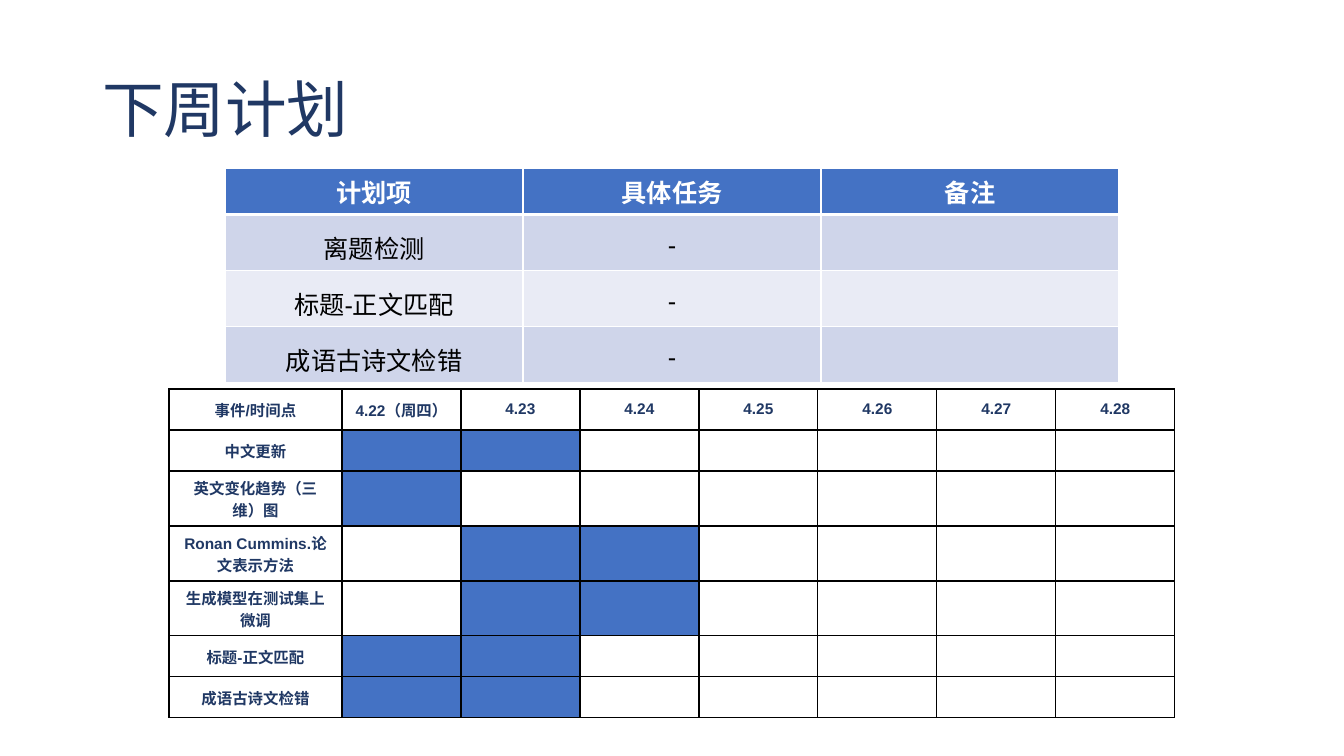
from lxml.etree import SubElement
from pptx import Presentation
from pptx.dml.color import RGBColor
from pptx.enum.lang import MSO_LANGUAGE_ID as Lang
from pptx.enum.text import MSO_ANCHOR as Anchor, PP_ALIGN as Align
from pptx.oxml.ns import qn
from pptx.util import Emu, Pt

# Content
TITLE = "下周计划"
PLAN = [
    ("计划项", "具体任务", "备注"),
    ("离题检测", "-", ""),
    ("标题-正文匹配", "-", ""),
    ("成语古诗文检错", "-", ""),
]
DATES = ["4.22（周四）", "4.23", "4.24", "4.25", "4.26", "4.27", "4.28"]
CORNER = "事件/时间点"
EVENTS = [  # event, busy day numbers, row height in px
    ("中文更新", (0, 1), 41),
    ("英文变化趋势（三维）图", (0,), 55),
    ("Ronan Cummins.论文表示方法", (1, 2), 55),
    ("生成模型在测试集上微调", (1, 2), 55),
    ("标题-正文匹配", (0, 1), 41),
    ("成语古诗文检错", (0, 1), 41),
]
COLORS = {"navy": "203864", "blue": "4472C4", "band": "CFD5EA",
          "pale": "E9EBF5", "white": "FFFFFF", "black": "000000"}

# Geometry in px
SLIDE_W, SLIDE_H = 1344, 756
TITLE_BOX = (92, 40, 1159, 146)
PLAN_AT, PLAN_COLS, PLAN_ROWS = (225, 168), [298] * 3, [46, 56, 56, 56]
GANTT_AT, GANTT_COLS = (169, 389), [173] + [119] * len(DATES)
GANTT_ROWS = [41] + [height for _, _, height in EVENTS]


def px(n):
    return Emu(round(n * 12192000 / SLIDE_W))


def color(name):
    return RGBColor.from_string(COLORS[name])


def style_text(paragraph, font_name, size, ink, bold=False, align=Align.CENTER, spacing=None):
    paragraph.alignment = align
    paragraph.line_spacing = spacing
    font = paragraph.font
    font.name, font.size, font.bold = font_name, Pt(size), bold
    font.color.rgb = color(ink)
    for run in paragraph.runs:
        run.font.language_id = Lang.SIMPLIFIED_CHINESE


def add_grid(slide, at, cols, rows):
    frame = slide.shapes.add_table(len(rows), len(cols), *map(px, at),
                                   px(sum(cols)), px(sum(rows)))
    for column, width in zip(frame.table.columns, cols):
        column.width = px(width)
    for row, height in zip(frame.table.rows, rows):
        row.height = px(height)
    return frame.table


def style_cell(cell, text, fill, line, widths, **text_style):
    cell.text = text
    cell.vertical_anchor = Anchor.MIDDLE
    style_text(cell.text_frame.paragraphs[0], "Arial", **text_style)
    # Borders come before the fill
    for side, width in zip("LRTB", widths):
        edge = SubElement(cell._tc.get_or_add_tcPr(), qn(f"a:ln{side}"), w=str(Pt(width)))
        SubElement(SubElement(edge, qn("a:solidFill")), qn("a:srgbClr"), val=COLORS[line])
    if fill:
        cell.fill.solid()
        cell.fill.fore_color.rgb = color(fill)
    else:
        cell.fill.background()


def main():
    prs = Presentation()
    prs.slide_width, prs.slide_height = px(SLIDE_W), px(SLIDE_H)
    slide = prs.slides.add_slide(prs.slide_layouts[5])

    # Title
    title = slide.shapes.title
    title.left, title.top, title.width, title.height = map(px, TITLE_BOX)
    title.text_frame.text = TITLE
    title.text_frame.vertical_anchor = Anchor.MIDDLE
    style_text(title.text_frame.paragraphs[0], "Times New Roman", 44, "navy",
               align=Align.LEFT, spacing=0.9)

    # Plan table
    plan = add_grid(slide, PLAN_AT, PLAN_COLS, PLAN_ROWS)
    for r, row in enumerate(PLAN):
        head = r == 0
        fill = "blue" if head else ("pale", "band")[r % 2]
        widths = (1, 1, 3 if r == 1 else 1, 3 if head else 1)
        for c, text in enumerate(row):
            style_cell(plan.cell(r, c), text, fill, "white", widths, size=18, bold=head,
                       ink="white" if head else "black", spacing=None if head else 1.25)

    # Schedule
    gantt = add_grid(slide, GANTT_AT, GANTT_COLS, GANTT_ROWS)
    schedule = [([CORNER] + DATES, ())]
    schedule += [([event] + [""] * len(DATES), busy) for event, busy, _ in EVENTS]
    for r, (row, busy) in enumerate(schedule):
        for c, text in enumerate(row):
            style_cell(gantt.cell(r, c), text, "blue" if c - 1 in busy else None,
                       "black", (1, 1, 1, 1), size=11, ink="navy", bold=True)

    prs.save("out.pptx")


if __name__ == "__main__":
    main()
